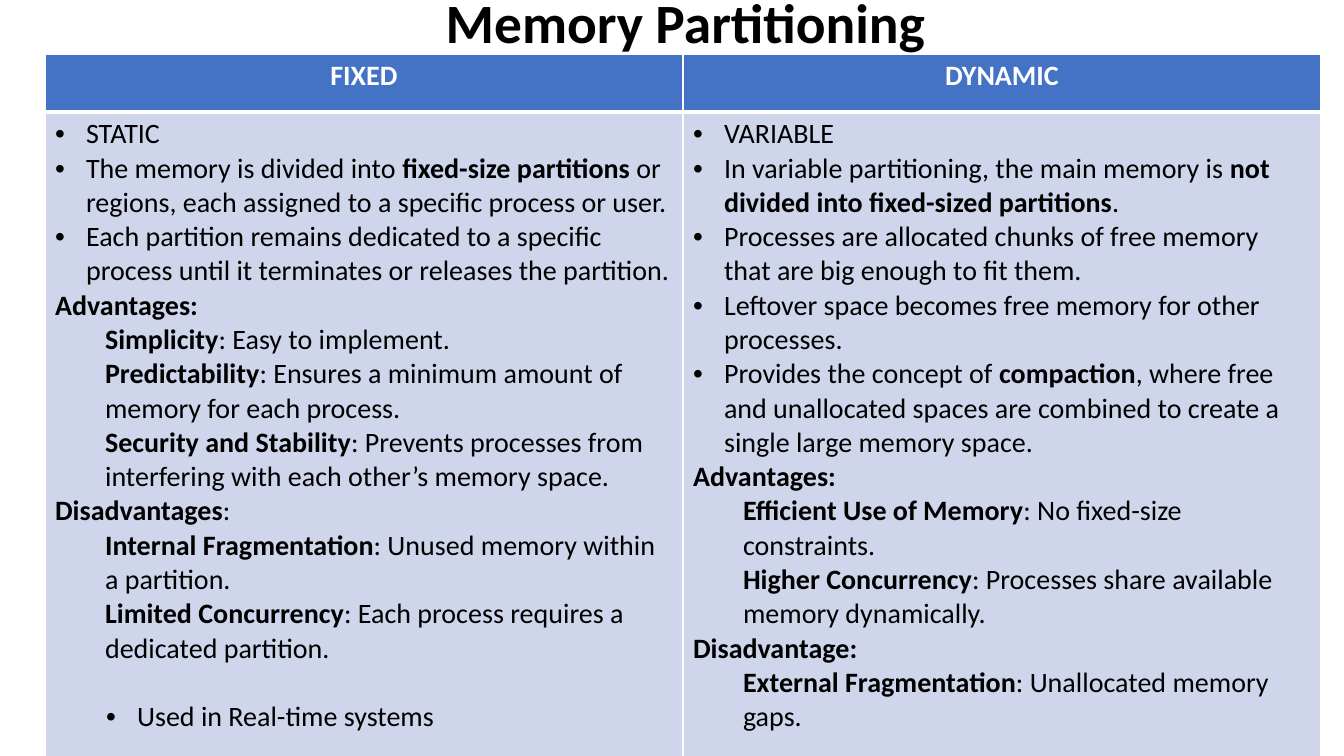
import pptx
import pptx.dml.color
import pptx.enum.text
import pptx.oxml
import pptx.oxml.ns
import pptx.util

RGBColor = pptx.dml.color.RGBColor
ALIGN = pptx.enum.text.PP_ALIGN
ANCHOR = pptx.enum.text.MSO_ANCHOR
Pt = pptx.util.Pt

PX = 914400 / 100.8
FONT = "Calibri"
BLACK = RGBColor(0x00, 0x00, 0x00)
WHITE = RGBColor(0xFF, 0xFF, 0xFF)
HEADER_BLUE = RGBColor(0x44, 0x72, 0xC4)
BODY_BLUE = RGBColor(0xCF, 0xD5, 0xEA)

# Paragraph styles: level, left margin in px, hanging bullet, px of space before
STYLES = {
    "bullet": (0, 31, True, 0),
    "heading": (0, 0, False, 0),
    "item": (1, 50, False, 0),
    "closing": (1, 82, True, 34),
}
HANG = 31

# Column contents; ** switches bold on and off
COLUMNS = {
    "FIXED": [
        ("bullet", "STATIC"),
        ("bullet", "The memory is divided into **fixed-size partitions** or regions, "
                   "each assigned to a specific process or user."),
        ("bullet", "Each partition remains dedicated to a specific process until it "
                   "terminates or releases the partition."),
        ("heading", "**Advantages:**"),
        ("item", "**Simplicity**: Easy to implement."),
        ("item", "**Predictability**: Ensures a minimum amount of memory for each process."),
        ("item", "**Security and Stability**: Prevents processes from interfering with "
                 "each other’s memory space."),
        ("heading", "**Disadvantages**:"),
        ("item", "**Internal Fragmentation**: Unused memory within a partition."),
        ("item", "**Limited Concurrency**: Each process requires a dedicated partition."),
        ("closing", "Used in Real-time systems"),
    ],
    "DYNAMIC": [
        ("bullet", "VARIABLE"),
        ("bullet", "In variable partitioning, the main memory is "
                   "**not divided into fixed-sized partitions**."),
        ("bullet", "Processes are allocated chunks of free memory that are big enough "
                   "to fit them."),
        ("bullet", "Leftover space becomes free memory for other processes."),
        ("bullet", "Provides the concept of **compaction**, where free and unallocated "
                   "spaces are combined to create a single large memory space."),
        ("heading", "**Advantages:**"),
        ("item", "**Efficient Use of Memory**: No fixed-size constraints."),
        ("item", "**Higher Concurrency**: Processes share available memory dynamically."),
        ("heading", "**Disadvantage:**"),
        ("item", "**External Fragmentation**: Unallocated memory gaps."),
    ],
}


def write(para, text, size, color):
    """Add the text as spans, with bold between ** marks."""
    for index, part in enumerate(text.split("**")):
        if part:
            span = para.add_run()
            span.text = part
            look = {"name": FONT, "size": Pt(size), "bold": index % 2 == 1}
            for key, value in look.items():
                setattr(span.font, key, value)
            span.font.color.rgb = color


def paint(cell, color, top, bottom):
    """Fill a cell and give it white borders, widths in points."""
    cell.fill.solid()
    cell.fill.fore_color.rgb = color
    properties = cell._tc.get_or_add_tcPr()
    for place, (side, width) in enumerate(dict(L=1, R=1, T=top, B=bottom).items()):
        properties.insert(place, pptx.oxml.parse_xml(
            f'<a:ln{side} {pptx.oxml.ns.nsdecls("a")} w="{Pt(width)}"><a:solidFill>'
            f'<a:srgbClr val="{WHITE}"/></a:solidFill></a:ln{side}>'))


deck = pptx.Presentation()
deck.slide_width, deck.slide_height = round(1344 * PX), round(756 * PX)
page = deck.slides.add_slide(deck.slide_layouts[6])

# Title
title = page.shapes.add_textbox(*(round(n * PX) for n in (106, 0, 1159, 52)))
title.text_frame.word_wrap = True
title.text_frame.vertical_anchor = ANCHOR.MIDDLE
para = title.text_frame.paragraphs[0]
para.alignment = ALIGN.CENTER
para.line_spacing = 0.9
write(para, "**Memory Partitioning**", 39.6, BLACK)

# Comparison table
frame = page.shapes.add_table(2, 2, *(round(n * PX) for n in (45, 54, 1276, 706)))
table = frame.table
table.horz_banding = False
for row, height in zip(table.rows, (58, 648)):
    row.height = round(height * PX)

for number, (name, lines) in enumerate(COLUMNS.items()):
    table.columns[number].width = round(638 * PX)

    # Header cell
    header = table.cell(0, number)
    paint(header, HEADER_BLUE, 1, 3)
    para = header.text_frame.paragraphs[0]
    para.alignment = ALIGN.CENTER
    write(para, f"**{name}**", 20, WHITE)

    # Body cell
    body = table.cell(1, number)
    paint(body, BODY_BLUE, 3, 1)
    for index, (style, text) in enumerate(lines):
        level, margin, bulleted, gap = STYLES[style]
        para = body.text_frame.add_paragraph() if index else body.text_frame.paragraphs[0]
        para.level = level
        para.space_before = round(gap * PX)
        properties = para._p.get_or_add_pPr()
        properties.set("marL", str(round(margin * PX)))
        properties.set("indent", str(round(-HANG * PX) if bulleted else 0))
        marks = ('buFont typeface="Arial"', 'buChar char="•"') if bulleted else ("buNone",)
        for mark in marks:
            properties.append(pptx.oxml.parse_xml(f'<a:{mark} {pptx.oxml.ns.nsdecls("a")}/>'))
        write(para, text, 20, BLACK)

deck.save("out.pptx")
